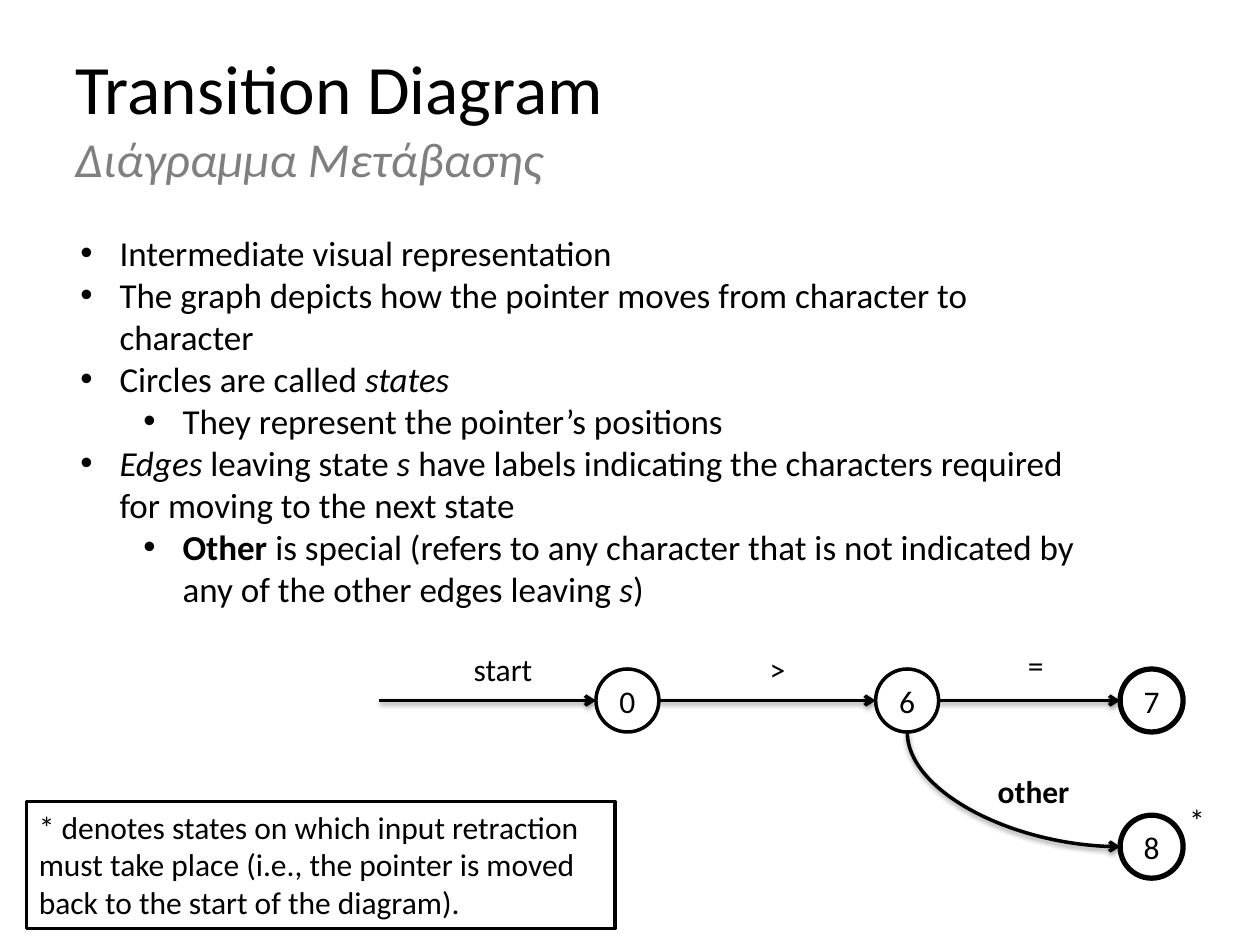
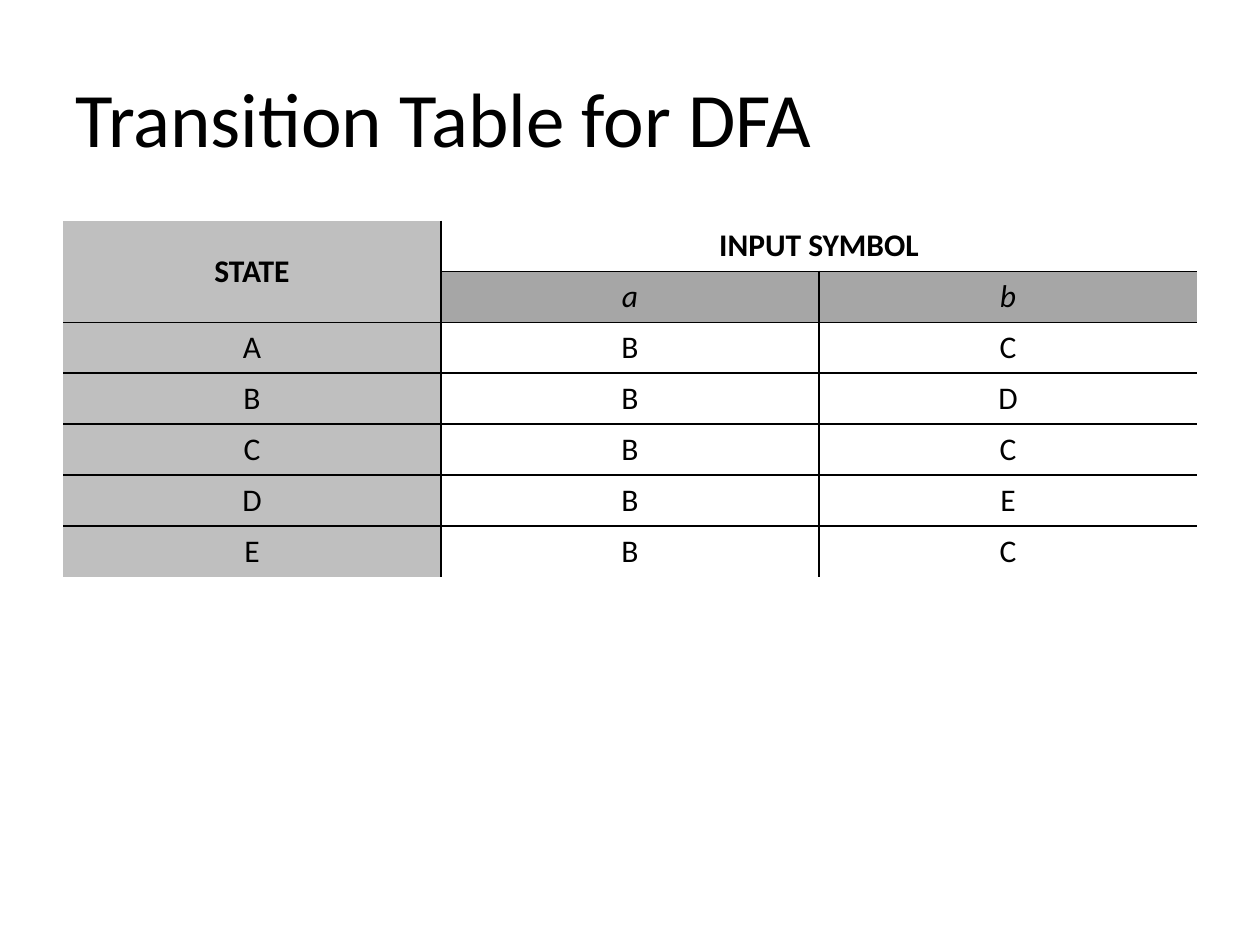
from lxml import etree
from pptx import Presentation
from pptx.dml.color import RGBColor
from pptx.enum import shapes, text
from pptx.oxml import ns
from pptx.util import Inches, Pt

FONT = "Calibri"
BLACK = RGBColor(0x00, 0x00, 0x00)
WHITE = RGBColor(0xFF, 0xFF, 0xFF)
SUBTITLE_GRAY = RGBColor(0x7F, 0x7F, 0x7F)
STATE_GRAY = RGBColor(0xBF, 0xBF, 0xBF)
SYMBOL_GRAY = RGBColor(0xA6, 0xA6, 0xA6)

CENTER = text.PP_ALIGN.CENTER
LEFT = text.PP_ALIGN.LEFT
TOP = text.MSO_ANCHOR.TOP
MIDDLE = text.MSO_ANCHOR.MIDDLE

TITLE_BOX = (0.5, 0.3, 9, 1.25)
CIRCLE = 0.5

POINTS = [
    (0, [("Intermediate visual representation", "")]),
    (0, [("The graph depicts how the pointer moves from character to character", "")]),
    (0, [("Circles are called ", ""), ("states", "i")]),
    (1, [("They represent the pointer’s positions", "")]),
    (0, [("Edges", "i"), (" leaving state ", ""), ("s ", "i"),
         ("have labels indicating the characters required for moving to the next state", "")]),
    (1, [("Other ", "b"),
         ("is special (refers to any character that is not indicated by any of the other "
          "edges leaving ", ""), ("s", "i"), (")", "")]),
]
NOTE = ("* denotes states on which input retraction must take place "
        "(i.e., the pointer is moved back to the start of the diagram).")
TRANSITIONS = ["ABC", "BBD", "CBC", "DBE", "EBC"]


def inches(*lengths):
    return [Inches(length) for length in lengths]


def child(parent, tag, **attributes):
    element = etree.SubElement(parent, ns.qn(tag))
    for name, value in attributes.items():
        element.set(name, str(value))
    return element


def add_run(paragraph, words, size=18, bold=False, italic=False, color=BLACK):
    run = paragraph.add_run()
    run.text = words
    run.font.name = FONT
    run.font.size = Pt(size)
    run.font.bold = bold
    run.font.italic = italic
    run.font.color.rgb = color


def add_text_box(slide, box, anchor=TOP, wrap=True):
    frame = slide.shapes.add_textbox(*inches(*box)).text_frame
    frame.word_wrap = wrap
    frame.vertical_anchor = anchor
    return frame


def add_title(slide, title, size=44, subtitle=None):
    paragraph = add_text_box(slide, TITLE_BOX, MIDDLE).paragraphs[0]
    add_run(paragraph, title, size=size)
    if subtitle:
        paragraph.add_line_break()
        add_run(paragraph, subtitle, size=27.9, italic=True, color=SUBTITLE_GRAY)


def add_bullets(slide, box):
    frame = add_text_box(slide, box)
    for index, (level, runs) in enumerate(POINTS):
        paragraph = frame.add_paragraph() if index else frame.paragraphs[0]
        paragraph.level = level
        properties = paragraph._p.get_or_add_pPr()
        properties.set("marL", str(Inches(0.31 + 0.5 * level)))
        properties.set("indent", str(Inches(-0.31)))
        child(properties, "a:buFont", typeface="Arial")
        child(properties, "a:buChar", char="•")
        for words, style in runs:
            add_run(paragraph, words, size=20, bold=style == "b", italic=style == "i")


def add_outlined_shape(slide, kind, box, words, line_width=2, align=CENTER, anchor=MIDDLE):
    shape = slide.shapes.add_shape(kind, *inches(*box))
    shape.shadow.inherit = False
    shape.fill.solid()
    shape.fill.fore_color.rgb = WHITE
    shape.line.color.rgb = BLACK
    shape.line.width = Pt(line_width)
    frame = shape.text_frame
    frame.word_wrap = True
    frame.vertical_anchor = anchor
    frame.paragraphs[0].alignment = align
    add_run(frame.paragraphs[0], words)


def add_edge(slide, begin, end, kind=shapes.MSO_CONNECTOR.STRAIGHT):
    edge = slide.shapes.add_connector(kind, *inches(*begin, *end))
    edge.line.color.rgb = BLACK
    edge.line.width = Pt(2)
    child(edge.line._get_or_add_ln(), "a:tailEnd", type="arrow")
    effects = child(edge._element.spPr, "a:effectLst")
    shadow = child(effects, "a:outerShdw", blurRad=Pt(3.1), dist=Pt(1.6),
                   dir=90 * 60000, rotWithShape=0)
    color = child(shadow, "a:srgbClr", val=BLACK)
    child(color, "a:alpha", val=38000)
    return edge


def add_curved_edge(slide, begin, end):
    center_x, center_y = (begin[0] + end[0]) / 2, (begin[1] + end[1]) / 2
    half_width, half_height = (end[0] - begin[0]) / 2, (end[1] - begin[1]) / 2
    edge = add_edge(slide, (center_x + half_height, center_y - half_width),
                    (center_x - half_height, center_y + half_width),
                    shapes.MSO_CONNECTOR.CURVE)
    properties = edge._element.spPr
    properties.find(ns.qn("a:xfrm")).set("rot", str(270 * 60000))
    properties.find(ns.qn("a:prstGeom")).set("prst", "curvedConnector2")


def add_state_diagram(slide, left, top):
    states = [("0", 1.72, 0, 2), ("6", 3.94, 0, 2), ("7", 5.88, 0, 3), ("8", 5.88, 1.16, 3)]
    for name, x, y, line_width in states:
        add_outlined_shape(slide, shapes.MSO_SHAPE.OVAL,
                           (left + x, top + y, CIRCLE, CIRCLE), name, line_width)

    middle = top + CIRCLE / 2
    begin = left
    for _, x, _, _ in states[:3]:
        add_edge(slide, (begin, middle), (left + x, middle))
        begin = left + x + CIRCLE
    _, branch_x, branch_y, _ = states[1]
    _, retract_x, retract_y, _ = states[3]
    add_curved_edge(slide, (left + branch_x + CIRCLE / 2, top + branch_y + CIRCLE),
                    (left + retract_x, middle + retract_y))

    labels = [("start", 0.65, -0.2, 0.68), (">", 3, -0.2, 0.33), ("=", 5.05, -0.23, 0.33),
              ("other", 4.81, 0.77, 0.78), ("*", 6.33, 1, 0.33)]
    for words, x, y, width in labels:
        frame = add_text_box(slide, (left + x, top + y, width, 0.4), wrap=False)
        add_run(frame.paragraphs[0], words, bold=words == "other")


def set_borders(cell, **sides):
    properties = cell._tc.get_or_add_tcPr()
    for position, side in enumerate("LRTB"):
        line = etree.Element(ns.qn("a:ln" + side), w=str(Pt(1)))
        if sides[side]:
            child(child(line, "a:solidFill"), "a:srgbClr", val=BLACK)
        else:
            child(line, "a:noFill")
        properties.insert(position, line)


def fill_cell(cell, words, fill=None, bold=False, italic=False):
    if fill:
        cell.fill.solid()
        cell.fill.fore_color.rgb = fill
    else:
        cell.fill.background()
    cell.vertical_anchor = MIDDLE if cell.is_merge_origin and fill else TOP
    paragraph = cell.text_frame.paragraphs[0]
    paragraph.alignment = CENTER
    add_run(paragraph, words, bold=bold, italic=italic)


def add_transition_table(slide, box):
    row_count, column_count = len(TRANSITIONS) + 2, 3
    table = slide.shapes.add_table(row_count, column_count, *inches(*box)).table
    table.first_row = False
    table.horz_banding = False
    table.cell(0, 0).merge(table.cell(1, 0))
    table.cell(0, 1).merge(table.cell(0, 2))

    fill_cell(table.cell(0, 0), "STATE", STATE_GRAY, bold=True)
    fill_cell(table.cell(0, 1), "INPUT SYMBOL", bold=True)
    for column, symbol in enumerate("ab", start=1):
        fill_cell(table.cell(1, column), symbol, SYMBOL_GRAY, italic=True)
    for row, names in enumerate(TRANSITIONS, start=2):
        for column, name in enumerate(names):
            fill_cell(table.cell(row, column), name, None if column else STATE_GRAY)

    for row in range(row_count):
        for column in range(column_count):
            cell = table.cell(row, column)
            if not cell.is_spanned:
                set_borders(cell, L=column > 0, T=row > 0,
                            R=column + cell.span_width < column_count,
                            B=row + cell.span_height < row_count)


def build_diagram_slide(slide):
    add_title(slide, "Transition Diagram", size=39.6, subtitle="Διάγραμμα Μετάβασης")
    add_state_diagram(slide, 3.01, 5.31)
    add_bullets(slide, (0.54, 1.79, 8.35, 3.13))
    add_outlined_shape(slide, shapes.MSO_SHAPE.RECTANGLE, (0.21, 6.36, 4.67, 1.01), NOTE,
                       align=LEFT, anchor=TOP)


def build_table_slide(slide):
    add_title(slide, "Transition Table for DFA")
    add_transition_table(slide, (0.5, 1.75, 9, 2.83))


def main():
    presentation = Presentation()
    presentation.slide_width, presentation.slide_height = inches(10, 7.5)
    blank = presentation.slide_layouts[6]
    for build in (build_diagram_slide, build_table_slide):
        build(presentation.slides.add_slide(blank))
    presentation.save("out.pptx")


if __name__ == "__main__":
    main()
